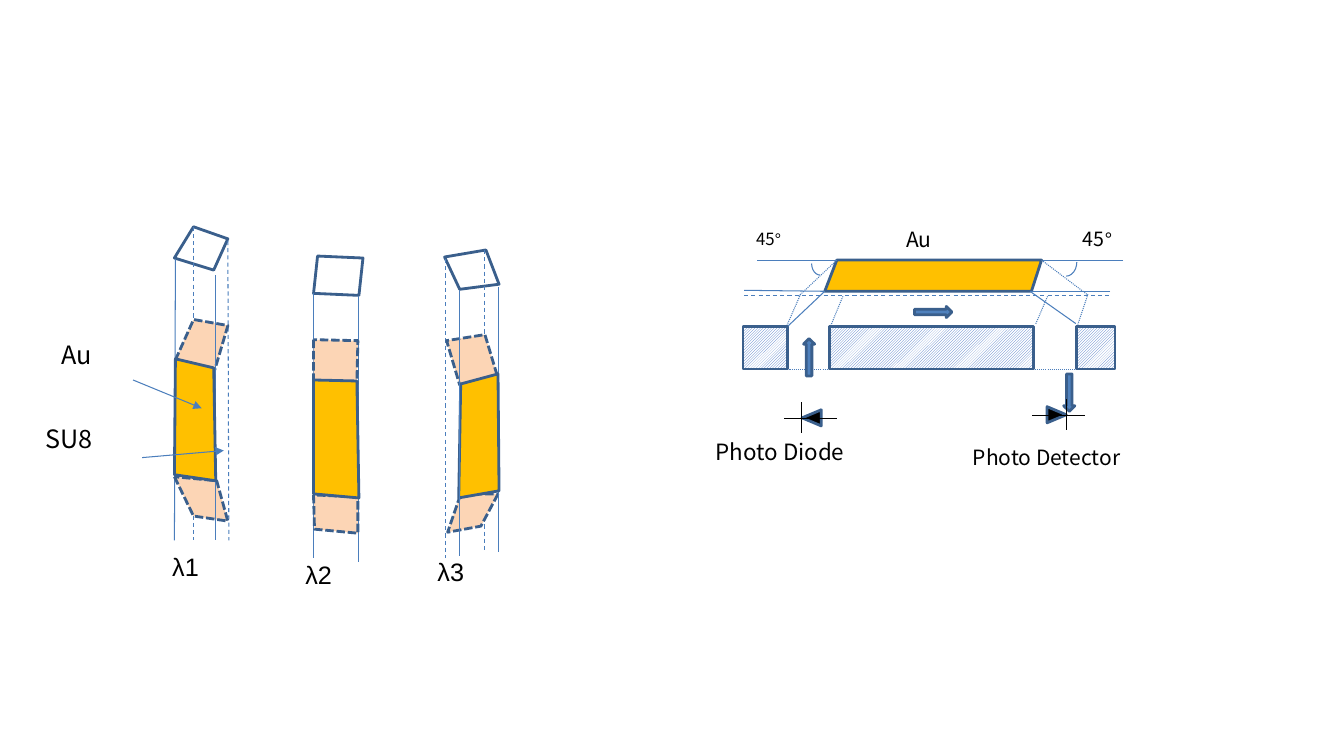
from dataclasses import dataclass
from typing import Optional

from lxml.etree import SubElement
from pptx import Presentation
from pptx.dml.color import RGBColor
from pptx.enum.dml import MSO_LINE_DASH_STYLE as Dash
from pptx.enum.dml import MSO_PATTERN_TYPE as Pattern
from pptx.enum.shapes import MSO_CONNECTOR_TYPE as Connector
from pptx.enum.shapes import MSO_SHAPE as Preset
from pptx.oxml.ns import qn
from pptx.util import Inches, Pt

Point = tuple[float, float]


@dataclass(frozen=True)
class Theme:
    gold: str = "FFC000"
    peach: str = "FCD5B5"
    white: str = "FFFFFF"
    black: str = "000000"
    arrow: str = "4F81BD"
    hatch: str = "4472C4"
    outline: str = "3A5F8C"
    ray: str = "4B7EBC"
    thick: float = 2
    thin: float = 0.75
    label_font: str = "Noto Sans CJK KR"
    symbol_font: str = "Arial"
    label: float = 18
    caption: float = 16
    small_caption: float = 15
    angle: float = 14
    small_angle: float = 12


THEME = Theme()


@dataclass(frozen=True)
class Face:
    points: tuple[Point, ...]
    fill: str
    dash: Optional[Dash] = None


@dataclass(frozen=True)
class Ray:
    start: Point
    end: Point
    dash: Optional[Dash] = None
    color: str = THEME.ray
    arrow: bool = False


@dataclass(frozen=True)
class Symbol:
    preset: Preset
    box: tuple[float, float, float, float]
    fill: Optional[str] = None
    rotation: float = 0
    hatched: bool = False
    flips: tuple[str, ...] = ()
    width: float = THEME.thick
    line: str = THEME.outline


@dataclass(frozen=True)
class Label:
    box: tuple[float, float, float, float]
    runs: tuple[tuple[str, str], ...]
    size: float


def style_line(line, color: str, width: float, dash: Optional[Dash] = None) -> None:
    """Set the colour, width and dash of a line."""
    line.color.rgb = RGBColor.from_string(color)
    for name, value in {"width": Pt(width), "dash_style": dash}.items():
        setattr(line, name, value)


def paint(shape, color: str) -> None:
    """Give a shape a solid fill."""
    shape.fill.solid()
    shape.fill.fore_color.rgb = RGBColor.from_string(color)


def draw_face(slide, face: Face) -> None:
    """Draw a closed polygon."""
    points = [(Inches(x), Inches(y)) for x, y in face.points]
    builder = slide.shapes.build_freeform(*points[0])
    builder.add_line_segments(points[1:], close=True)
    shape = builder.convert_to_shape()
    shape.shadow.inherit = False
    paint(shape, face.fill)
    style_line(shape.line, THEME.outline, THEME.thick, face.dash)


def draw_ray(slide, ray: Ray) -> None:
    """Draw a thin straight line, with an arrowhead if asked."""
    ends = [Inches(value) for value in ray.start + ray.end]
    connector = slide.shapes.add_connector(Connector.STRAIGHT, *ends)
    style_line(connector.line, ray.color, THEME.thin, ray.dash)
    properties = connector._element.spPr
    if ray.arrow:
        SubElement(properties.find(qn("a:ln")), qn("a:tailEnd"), type="triangle")
    SubElement(properties, qn("a:effectLst"))


def draw_symbol(slide, symbol: Symbol) -> None:
    """Draw a preset shape."""
    shape = slide.shapes.add_shape(symbol.preset, *map(Inches, symbol.box))
    shape.shadow.inherit = False
    shape.rotation = symbol.rotation
    if symbol.hatched:
        shape.fill.patterned()
        shape.fill.pattern = Pattern.LIGHT_UPWARD_DIAGONAL
        shape.fill.fore_color.rgb = RGBColor.from_string(THEME.hatch)
        shape.fill.back_color.rgb = RGBColor.from_string(THEME.white)
    elif symbol.fill:
        paint(shape, symbol.fill)
    else:
        shape.fill.background()
    style_line(shape.line, symbol.line, symbol.width)
    for flip in symbol.flips:
        shape._element.spPr.find(qn("a:xfrm")).set(flip, "1")


def draw_label(slide, label: Label) -> None:
    """Write a one-line text box."""
    frame = slide.shapes.add_textbox(*map(Inches, label.box)).text_frame
    frame.word_wrap = True
    for text, font_name in label.runs:
        run = frame.paragraphs[0].add_run()
        run.text = text
        for name, value in {"name": font_name, "size": Pt(label.size)}.items():
            setattr(run.font, name, value)
        run.font.color.rgb = RGBColor.from_string(THEME.black)


DRAWERS = {Face: draw_face, Ray: draw_ray, Symbol: draw_symbol, Label: draw_label}


def patch(*points: Point) -> Face:
    """Describe a dashed peach end face."""
    return Face(points, THEME.peach, Dash.SQUARE_DOT)


def word(text: str, left: float, top: float, width: float, height: float, size: float = THEME.label) -> Label:
    """Describe a label in the main font."""
    return Label((left, top, width, height), ((text, THEME.label_font),), size)


def mirror_columns() -> list:
    """Describe the three mirrors, one for each wavelength."""
    first = [
        Face(((1.92, 2.25), (1.73, 2.56), (2.12, 2.68), (2.26, 2.37)), THEME.white),
        Ray((1.74, 2.57), (1.73, 5.36)),
        Ray((2.26, 2.39), (2.27, 5.36), Dash.DASH),
        Ray((1.92, 2.25), (1.92, 5.36), Dash.DASH),
        patch((1.74, 3.57), (2.13, 3.67), (2.26, 3.23), (1.92, 3.17)),
        patch((1.73, 4.73), (1.92, 5.12), (2.26, 5.17), (2.15, 4.77)),
        Ray((2.14, 2.73), (2.14, 5.36)),
        Face(((1.74, 3.56), (1.73, 4.71), (2.14, 4.77), (2.12, 3.65)), THEME.gold)]
    second = [
        Face(((3.15, 2.54), (3.11, 2.91), (3.56, 2.93), (3.6, 2.56)), THEME.white),
        Ray((3.11, 2.91), (3.11, 5.54)),
        Ray((3.56, 2.94), (3.56, 5.58)),
        patch((3.11, 3.37), (3.11, 3.78), (3.54, 3.81), (3.55, 3.38)),
        patch((3.11, 4.91), (3.12, 5.25), (3.55, 5.29), (3.55, 4.93)),
        Face(((3.11, 3.77), (3.11, 4.9), (3.56, 4.94), (3.54, 3.78)), THEME.gold)]
    third = [
        Face(((4.82, 2.48), (4.95, 2.82), (4.56, 2.87), (4.41, 2.55)), THEME.white),
        Ray((4.81, 2.48), (4.81, 5.46), Dash.DASH),
        Ray((4.42, 2.57), (4.42, 5.54), Dash.DASH),
        patch((4.93, 3.72), (4.56, 3.82), (4.43, 3.38), (4.81, 3.32)),
        patch((4.94, 4.9), (4.77, 5.22), (4.44, 5.28), (4.57, 4.9)),
        Ray((4.94, 2.85), (4.94, 5.48)),
        Face(((4.94, 3.71), (4.95, 4.87), (4.55, 4.94), (4.57, 3.81)), THEME.gold),
        Ray((4.56, 2.88), (4.56, 5.52))]
    leaders = [Ray((1.32, 3.77), (2, 4.05), arrow=True), word("Au", 0.51, 3.32, 0.96, 0.4),
               Ray((1.41, 4.54), (2.22, 4.47), arrow=True), word("SU8", 0.35, 4.15, 1.26, 0.4)]
    wavelengths = [Label((left, top, 1.01, 0.4), ((text, THEME.symbol_font),), THEME.label)
                   for text, left, top in (("λ1", 1.61, 5.42), ("λ2", 2.93, 5.5), ("λ3", 4.24, 5.47))]
    return first + second + third + leaders + wavelengths


def light_path() -> list:
    """Describe the cross-section with its diode and detector."""
    parts = [Face(((8.3, 2.58), (8.18, 2.89), (10.23, 2.89), (10.33, 2.58)), THEME.gold)]
    solid = (((8.18, 2.89), (7.38, 2.88)), ((8.3, 2.58), (7.51, 2.58)), ((11.01, 2.89), (10.22, 2.89)),
             ((11.14, 2.58), (10.34, 2.58)), ((8.18, 2.89), (7.81, 3.24)), ((10.23, 2.9), (10.67, 3.21)))
    dotted = (((7.36, 3.24), (10.99, 3.24)), ((8.3, 2.58), (7.92, 2.94)), ((7.94, 2.92), (7.8, 3.24)),
              ((10.33, 2.58), (10.78, 2.92)), ((10.79, 2.92), (10.69, 3.22)), ((7.38, 3.67), (11.01, 3.67)),
              ((8.36, 2.94), (8.24, 3.23)), ((10.39, 2.94), (10.27, 3.22)))
    parts += [Ray(*ends) for ends in solid] + [Ray(*ends, Dash.ROUND_DOT) for ends in dotted]
    parts.append(Ray((7.38, 2.93), (11.01, 2.93), Dash.DASH))
    for left, right in ((7.81, 8.23), (10.26, 10.68)):
        parts += [Ray((x, 3.24), (x, 3.66), Dash.ROUND_DOT) for x in (left, right)]
        parts += [Ray((left, y), (right, y), color=THEME.white) for y in (3.24, 3.66)]
    for left, top, height, size in ((7.4, 2.22, 0.3, THEME.small_angle), (10.64, 2.2, 0.33, THEME.angle)):
        parts.append(Label((left, top, 1.11, height), (("45", THEME.label_font), ("°", THEME.symbol_font)), size))
    for box, flips in (((8.05, 2.5, 0.17, 0.23), ("flipH", "flipV")), ((10.47, 2.46, 0.21, 0.28), ("flipV",))):
        parts.append(Symbol(Preset.ARC, box, flips=flips, width=THEME.thin, line=THEME.ray))
    parts.append(Ray((8.56, 2.76), (8.56, 2.76), color=THEME.black))
    for left, top, turn in ((7.97, 3.36, 0), (9.2, 2.91, 90), (10.55, 3.71, 180)):
        parts.append(Symbol(Preset.UP_ARROW, (left, top, 0.11, 0.37), THEME.arrow, turn))
    for left, top, turn, x, y in ((7.97, 4.05, 270, 7.95, 4.15), (10.4, 4.02, 90, 10.58, 4.12)):
        middle = 8.04 if turn == 270 else 10.5
        parts += [Symbol(Preset.ISOSCELES_TRIANGLE, (left, top, 0.16, 0.19), THEME.black, turn),
                  Ray((x, y - 0.16), (x, y + 0.15), color=THEME.black),
                  Ray((middle - 0.26, y), (middle + 0.26, y), color=THEME.black)]
    parts += [word("Photo Diode", 7, 4.3, 1.99, 0.36, THEME.caption),
              word("Photo Detector", 9.55, 4.36, 2.14, 0.35, THEME.small_caption)]
    for left, width in ((8.23, 2.02), (7.37, 0.44), (10.68, 0.38)):
        parts.append(Symbol(Preset.RECTANGLE, (left, 3.24, width, 0.42), hatched=True))
    return parts + [word("Au", 8.89, 2.2, 1.11, 0.35, THEME.small_caption)]


def main() -> None:
    """Build the slide and save it."""
    presentation = Presentation()
    presentation.slide_width, presentation.slide_height = Inches(13.33), Inches(7.5)
    slide = presentation.slides.add_slide(presentation.slide_layouts[6])
    for part in mirror_columns() + light_path():
        DRAWERS[type(part)](slide, part)
    presentation.save("out.pptx")


if __name__ == "__main__":
    main()
